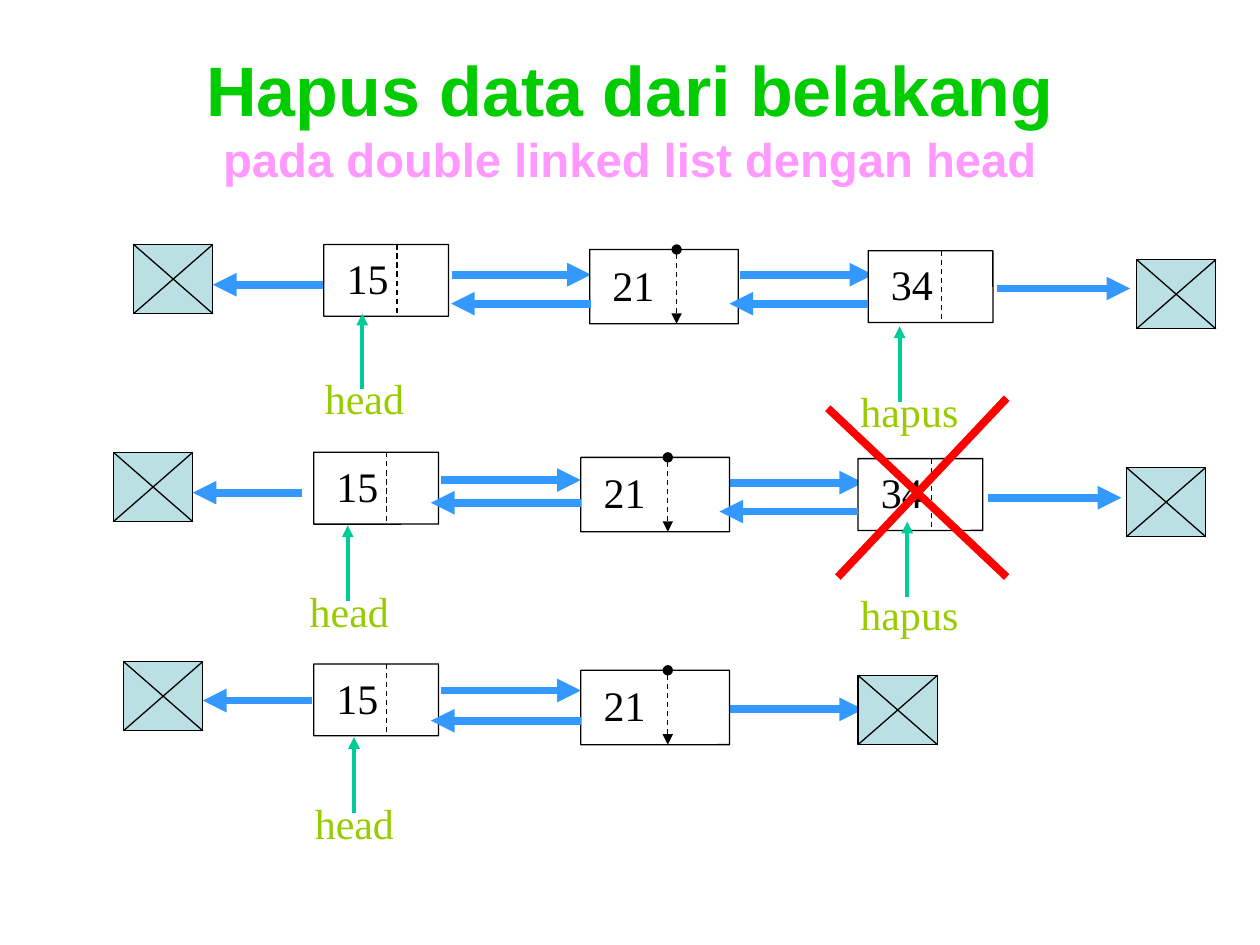
from lxml import etree
from pptx import Presentation
from pptx.dml.color import RGBColor
from pptx.enum.dml import MSO_LINE
from pptx.enum.shapes import MSO_CONNECTOR, MSO_SHAPE
from pptx.enum.text import MSO_ANCHOR, PP_ALIGN
from pptx.oxml.ns import qn
from pptx.util import Inches, Pt

STRAIGHT = MSO_CONNECTOR.STRAIGHT
DASH = MSO_LINE.DASH
RECTANGLE, ROUNDED = MSO_SHAPE.RECTANGLE, MSO_SHAPE.ROUNDED_RECTANGLE
LEFT, CENTER = PP_ALIGN.LEFT, PP_ALIGN.CENTER
TOP, MIDDLE = MSO_ANCHOR.TOP, MSO_ANCHOR.MIDDLE

COLORS = {
    "title": "00CC00", "subtitle": "FF99FF", "label": "99CC00",
    "ink": "000000", "node": "FFFFFF", "null": "BBE0E3",
    "link": "3399FF", "pointer": "00CC99", "cross": "FF0000",
}
COLORS = {name: RGBColor.from_string(value) for name, value in COLORS.items()}

# Colour, width in points, dash, head end, tail end
LINES = {
    "link": ("link", 4.5, None, None, "triangle"),
    "pointer": ("pointer", 2.25, None, None, "triangle"),
    "cross": ("cross", 4.5, None, None, None),
    "diagonal": ("ink", 0.75, None, None, None),
    "divider": ("ink", 0.75, DASH, None, None),
    "divider arrow": ("ink", 0.75, DASH, "oval", "triangle"),
}
FRAMES = {
    "node": {"word_wrap": True, "vertical_anchor": MIDDLE, "margin_left": Inches(0.18)},
    "label": {"word_wrap": False, "vertical_anchor": TOP, "margin_left": Inches(0.1)},
}

# Value, left, top; the value sets the size and the divider offset
NODE_SIZES = {
    "15": (0.99, 0.57, 0.58, "divider"),
    "21": (1.18, 0.59, 0.69, "divider arrow"),
    "34": (0.99, 0.57, 0.585, "divider"),
}
NODES = [
    ("15", 2.57, 1.94), ("21", 4.68, 1.98), ("34", 6.89, 1.99),
    ("15", 2.49, 3.59), ("21", 4.61, 3.63), ("34", 6.81, 3.64),
    ("15", 2.49, 5.27), ("21", 4.61, 5.32),
]
NULL_WIDTH, NULL_HEIGHT = 0.63, 0.55
NULLS = [
    (1.06, 1.94), (9.02, 2.06),
    (0.9, 3.59), (8.94, 3.71),
    (0.98, 5.25), (6.81, 5.36),
]
# Start x, end x, y
NEXT_LINKS = [
    (3.59, 4.69, 2.18), (5.87, 6.93, 2.18), (7.91, 8.97, 2.29),
    (3.5, 4.61, 3.81), (5.79, 6.85, 3.83), (7.84, 8.9, 3.95),
    (3.5, 4.61, 5.48), (5.79, 6.85, 5.63),
]
PREVIOUS_LINKS = [
    (2.56, 1.69, 2.26), (4.69, 3.58, 2.41), (6.89, 5.79, 2.41),
    (2.4, 1.53, 3.91), (4.61, 3.42, 3.99), (6.81, 5.71, 4.06),
    (2.48, 1.61, 5.56), (4.61, 3.42, 5.72),
]
# Text, left, top, width, pointer x, pointer tip y
LABELS = [
    ("head", 2.48, 2.94, 0.83, 2.875, 2.49),
    ("hapus", 6.73, 3.04, 0.98, 7.14, 2.59),
    ("head", 2.36, 4.63, 0.83, 2.76, 4.17),
    ("hapus", 6.73, 4.65, 0.98, 7.2, 4.14),
    ("head", 2.4, 6.31, 0.83, 2.81, 5.85),
]
POINTER_LENGTH = 0.6

presentation = Presentation()
presentation.slide_width, presentation.slide_height = Inches(10), Inches(7.5)
slide = presentation.slides.add_slide(presentation.slide_layouts[5])
shapes = slide.shapes


def add_line(start, end, style):
    color, width, dash, head, tail = LINES[style]
    connector = shapes.add_connector(STRAIGHT, *map(Inches, start + end))
    line = connector.line
    line.color.rgb = COLORS[color]
    line.width = Pt(width)
    if dash:
        line.dash_style = dash
    properties = connector._element.spPr
    outline = properties.find(qn("a:ln"))
    for tag, kind in (("a:headEnd", head), ("a:tailEnd", tail)):
        if kind:
            etree.SubElement(outline, qn(tag), type=kind)
    etree.SubElement(properties, qn("a:effectLst"))


def write_text(shape, text, frame_style, color):
    frame = shape.text_frame
    for name, value in FRAMES[frame_style].items():
        setattr(frame, name, value)
    paragraph = frame.paragraphs[0]
    paragraph.alignment = LEFT
    paragraph.line_spacing = 0.95
    run = paragraph.add_run()
    run.text = text
    run.font.name = "Times New Roman"
    run.font.size = Pt(24)
    run.font.color.rgb = COLORS[color]


title = shapes.title
title.left, title.top = Inches(0.5), Inches(0.3)
title.width, title.height = Inches(9), Inches(1.25)
title.text_frame.vertical_anchor = MIDDLE
paragraph = title.text_frame.paragraphs[0]
paragraph.alignment = CENTER
for text, size, color in (
    ("Hapus data dari belakang", 40, "title"),
    ("pada double linked list dengan head", 27, "subtitle"),
):
    if paragraph.runs:
        paragraph.add_line_break()
    run = paragraph.add_run()
    run.text = text
    run.font.name = "Arial"
    run.font.size = Pt(size)
    run.font.bold = True
    run.font.color.rgb = COLORS[color]

for start, end, y in NEXT_LINKS:
    add_line((start, y), (end, y), "link")

for value, left, top in NODES:
    width, height, offset, divider = NODE_SIZES[value]
    node = shapes.add_shape(ROUNDED, *map(Inches, (left, top, width, height)))
    node.adjustments[0] = 0.003
    node.shadow.inherit = False
    node.fill.solid()
    node.fill.fore_color.rgb = COLORS["node"]
    node.line.color.rgb = COLORS["ink"]
    node.line.width = Pt(0.75)
    write_text(node, value, "node", "ink")
    add_line((left + offset, top), (left + offset, top + height), divider)

for left, top in NULLS:
    right, bottom = left + NULL_WIDTH, top + NULL_HEIGHT
    null = shapes.add_shape(
        RECTANGLE, *map(Inches, (left, top, NULL_WIDTH, NULL_HEIGHT)))
    null.shadow.inherit = False
    null.fill.solid()
    null.fill.fore_color.rgb = COLORS["null"]
    null.line.color.rgb = COLORS["ink"]
    null.line.width = Pt(0.75)
    add_line((left, top), (right, bottom), "diagonal")
    add_line((right, top), (left, bottom), "diagonal")

for start, end, y in PREVIOUS_LINKS:
    add_line((start, y), (end, y), "link")

add_line((7.99, 3.16), (6.65, 4.58), "cross")
add_line((6.57, 3.24), (7.99, 4.58), "cross")

for text, left, top, width, x, tip in LABELS:
    add_line((x, tip + POINTER_LENGTH), (x, tip), "pointer")
    label = shapes.add_textbox(*map(Inches, (left, top, width, 0.48)))
    write_text(label, text, "label", "label")

presentation.save("out.pptx")
